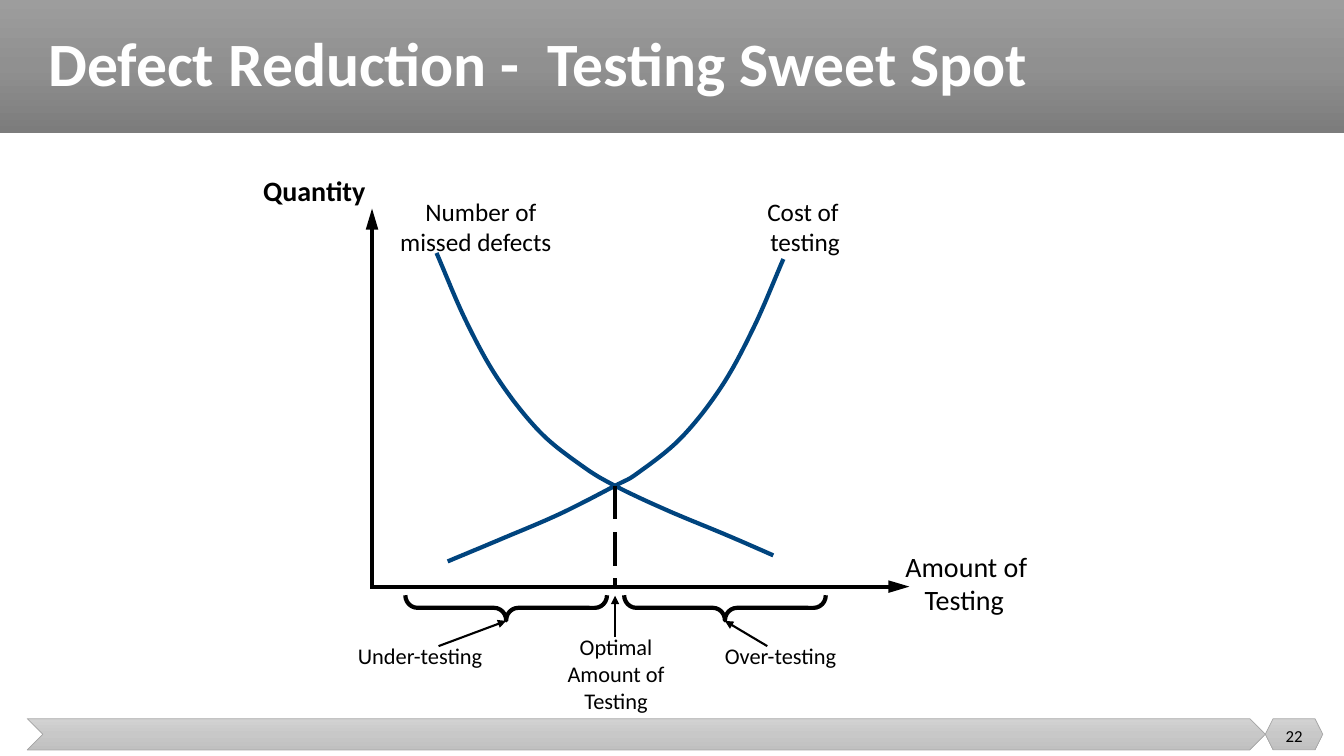
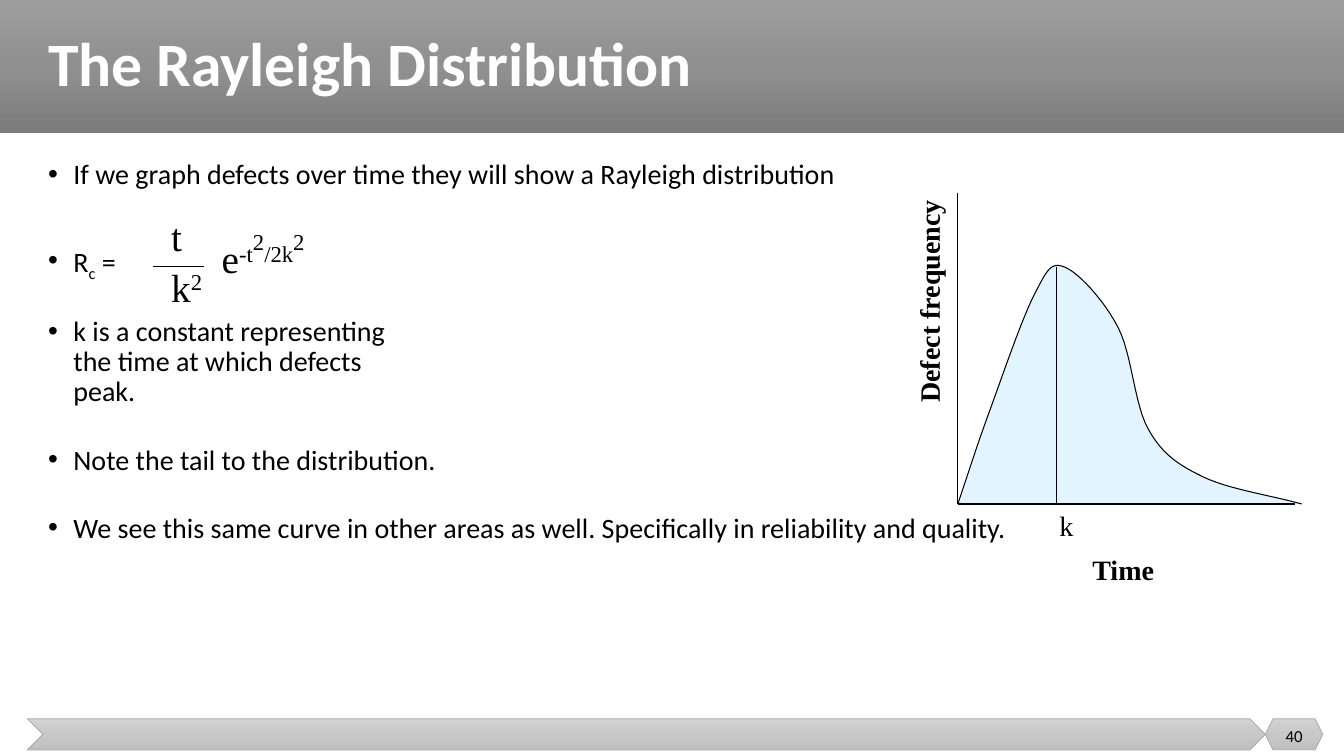
from dataclasses import dataclass
from typing import Optional, Sequence, Union
import copy

import pptx
import pptx.dml.color
import pptx.enum.dml
import pptx.enum.shapes
import pptx.enum.text
import pptx.oxml
import pptx.oxml.ns
import pptx.util

Inches = pptx.util.Inches
Pt = pptx.util.Pt
RGB = pptx.dml.color.RGBColor.from_string
SHAPE = pptx.enum.shapes.MSO_SHAPE
ALIGN = pptx.enum.text.PP_ALIGN
ANCHOR = pptx.enum.text.MSO_ANCHOR
qn = pptx.oxml.ns.qn
Point = tuple[float, float]
Box = tuple[float, float, float, float]


@dataclass(frozen=True)
class Theme:
    sans: str = "Calibri"
    serif: str = "Times New Roman"
    ink: str = "000000"
    white: str = "FFFFFF"
    curve: str = "00447E"
    area: str = "E1F4FF"
    edge: str = "A5A5A5"
    band: tuple[str, ...] = ("9D9D9D", "909090", "7C7C7C")
    footer: tuple[str, ...] = ("D2D2D2", "C8C8C8", "C0C0C0")
    title: int = 44
    formula: int = 28
    body: int = 20
    label: int = 18
    note: int = 16
    page: int = 12
    hairline: float = 0.75
    thin: float = 1.5
    thick: float = 3


T = Theme()


@dataclass(frozen=True)
class Run:
    text: str
    baseline: int = 0  # percent above or below the line


@dataclass(frozen=True)
class Band:
    kind: SHAPE
    at: Box
    colors: tuple[str, ...]
    outlined: bool = True


@dataclass(frozen=True)
class Label:
    at: Box
    text: str
    size: int
    bold: bool = False
    align: Optional[ALIGN] = None
    left: float = 0
    first: float = 0


@dataclass(frozen=True)
class Bullet:
    runs: Sequence[Run]
    before: float = 27


@dataclass(frozen=True)
class Stroke:
    start: Point
    end: Point
    width: float
    arrow: str = ""  # arrowhead length
    dashed: bool = False


BANDS = (
    Band(SHAPE.RECTANGLE, (0, 0, 13.33, 1.32), T.band, outlined=False),
    Band(SHAPE.CHEVRON, (0.27, 7.13, 12.28, 0.31), T.footer),
    Band(SHAPE.HEXAGON, (12.55, 7.13, 0.57, 0.31), T.footer),
)


# Text
def add_runs(p, text: Union[str, Sequence[Run]], *, size: float,
             font: str = T.sans, color: str = T.ink, bold: bool = False,
             align: Optional[ALIGN] = None, before: float = 0,
             spacing: Optional[float] = None) -> None:
    """Write text into a paragraph; a newline becomes a line break."""
    p.alignment, p.line_spacing, p.space_before = align, spacing, Pt(before)
    for run in [Run(text)] if isinstance(text, str) else text:
        for i, line in enumerate(run.text.split("\n")):
            if i:
                p.add_line_break()
            r = p.add_run()
            r.text = line
            r.font.name, r.font.size, r.font.bold = font, Pt(size), bold
            r.font.color.rgb = RGB(color)
            if run.baseline:
                r._r.get_or_add_rPr().set("baseline", str(run.baseline * 1000))


def set_indent(p, left: float, first: float) -> None:
    pPr = p._p.get_or_add_pPr()
    pPr.set("marL", str(Inches(left)))
    pPr.set("indent", str(Inches(first)))


def add_box(s, at: Box, *, inset: bool = True, middle: bool = False):
    box = s.shapes.add_textbox(*map(Inches, at))
    tf = box.text_frame
    tf.word_wrap = True
    tf.vertical_anchor = ANCHOR.MIDDLE if middle else ANCHOR.TOP
    if not inset:
        tf.margin_left = tf.margin_right = tf.margin_bottom = 0
        tf.margin_top = Inches(0.01)
    return box


def add_text(s, at: Box, text: Union[str, Sequence[Run]], *,
             middle: bool = False, **fmt):
    box = add_box(s, at, middle=middle)
    add_runs(box.text_frame.paragraphs[0], text, **fmt)
    return box


def add_label(s, label: Label) -> None:
    p = add_box(s, label.at, inset=False).text_frame.paragraphs[0]
    set_indent(p, label.left, label.first)
    add_runs(p, label.text, size=label.size, bold=label.bold, align=label.align)


def add_bullets(s, at: Box, bullets: Sequence[Bullet]) -> None:
    tf = add_box(s, at).text_frame
    for i, bullet in enumerate(bullets):
        p = tf.add_paragraph() if i else tf.paragraphs[0]
        set_indent(p, 0.25, -0.25)
        add_runs(p, bullet.runs, size=T.body, before=bullet.before, spacing=0.9)
        mark = p._p.get_or_add_pPr()
        mark.append(pptx.oxml.parse_xml(
            f'<a:buFont {pptx.oxml.ns.nsdecls("a")} typeface="Arial"/>'))
        mark.append(pptx.oxml.parse_xml(
            f'<a:buChar {pptx.oxml.ns.nsdecls("a")} char="•"/>'))


# Lines and outlines
def set_line(line, color: str, width: float) -> None:
    line.color.rgb = RGB(color)
    line.width = Pt(width)


def add_stroke(s, stroke: Stroke) -> None:
    c = s.shapes.add_connector(
        pptx.enum.shapes.MSO_CONNECTOR.STRAIGHT,
        *map(Inches, stroke.start + stroke.end))
    set_line(c.line, T.ink, stroke.width)
    if stroke.dashed:
        c.line.dash_style = pptx.enum.dml.MSO_LINE.LONG_DASH
    if stroke.arrow:
        c.line._get_or_add_ln().append(pptx.oxml.parse_xml(
            f'<a:tailEnd {pptx.oxml.ns.nsdecls("a")} type="triangle" '
            f'w="med" len="{stroke.arrow}"/>'))
    c.element.spPr.append(pptx.oxml.parse_xml(
        f'<a:effectLst {pptx.oxml.ns.nsdecls("a")}/>'))


def smooth(knots: Sequence[Point], steps: int = 12) -> list[Point]:
    """Sample a Catmull-Rom spline that passes through the knots."""
    def mirror(a: Point, b: Point) -> Point:
        return 2 * a[0] - b[0], 2 * a[1] - b[1]

    pts = [mirror(knots[0], knots[1]), *knots, mirror(knots[-1], knots[-2])]
    curve = [knots[0]]
    for quad in zip(pts, pts[1:], pts[2:], pts[3:]):
        for t in (n / steps for n in range(1, steps + 1)):
            x, y = (
                (2 * b + (c - a) * t + (2 * a - 5 * b + 4 * c - d) * t ** 2
                 + (3 * b - a - 3 * c + d) * t ** 3) / 2
                for a, b, c, d in zip(*quad))
            curve.append((x, y))
    return curve


def add_curve(s, knots: Sequence[Point], color: str, width: float,
              fill: Optional[str] = None) -> None:
    pts = [(Inches(x), Inches(y)) for x, y in smooth(knots)]
    builder = s.shapes.build_freeform(*pts[0])
    builder.add_line_segments(pts[1:], close=False)
    sp = builder.convert_to_shape()
    sp.shadow.inherit = False
    set_line(sp.line, color, width)
    if fill:
        sp.fill.solid()
        sp.fill.fore_color.rgb = RGB(fill)
    else:
        sp.fill.background()


def add_brace(s, center: float) -> None:
    width, height, middle = 2, 0.25, 6.03
    sp = s.shapes.add_shape(
        SHAPE.RIGHT_BRACE, Inches(center - height / 2),
        Inches(middle - width / 2), Inches(height), Inches(width))
    sp.rotation = 90
    sp.adjustments[0] = 0.48
    sp.shadow.inherit = False
    sp.fill.background()
    set_line(sp.line, T.ink, T.thick)


# Shared frame
def add_band(s, band: Band):
    sp = s.shapes.add_shape(band.kind, *map(Inches, band.at))
    sp.shadow.inherit = False
    sp.fill.gradient()
    sp.fill.gradient_angle = 270
    stops = sp.element.spPr.find(".//" + qn("a:gsLst"))
    middle = copy.deepcopy(stops[0])
    middle.set("pos", "50000")
    stops.insert(1, middle)
    for stop, color in zip(sp.fill.gradient_stops, band.colors):
        stop.color.rgb = RGB(color)
    if band.outlined:
        set_line(sp.line, T.edge, 0.5)
    else:
        sp.line.fill.background()
    return sp


def move_bands_to_layout(s) -> None:
    """Draw the bands once and let the layout hold them."""
    tree = s.slide_layout.shapes.element
    for i, band in enumerate(BANDS):
        element = add_band(s, band).element
        element.nvSpPr.cNvPr.set("id", str(100 + i))
        tree.insert(2 + i, element)


def add_slide(prs, title: str, page: int):
    s = prs.slides.add_slide(prs.slide_layouts[5])
    sp = s.shapes.title
    sp.left, sp.top, sp.width, sp.height = map(Inches, (0.38, 0, 12.74, 1.32))
    tf = sp.text_frame
    tf.word_wrap, tf.vertical_anchor = True, ANCHOR.MIDDLE
    tf.auto_size = pptx.enum.text.MSO_AUTO_SIZE.NONE
    add_runs(tf.paragraphs[0], title, size=T.title, color=T.white, bold=True,
             align=ALIGN.LEFT, spacing=0.9)
    add_text(s, (12.55, 7.1, 0.57, 0.4), str(page), size=T.page,
             align=ALIGN.CENTER, middle=True)
    return s


# Slides
def sweet_spot(s) -> None:
    optimum = (6.1, 4.82)
    missed = ((4.33, 2.51), (4.62, 3.18), (4.94, 3.76), (5.35, 4.28),
              (5.77, 4.62), optimum, (6.61, 5.06), (7.21, 5.31), (7.67, 5.51))
    cost = ((7.77, 2.57), (7.48, 3.24), (7.16, 3.83), (6.76, 4.34),
            (6.33, 4.69), optimum, (5.55, 5.1), (4.99, 5.34), (4.44, 5.57))
    for knots in (missed, cost):
        add_curve(s, knots, T.curve, T.thick)
    for label in (
        Label((2.6, 1.71, 1.06, 0.36), "Quantity", T.body, bold=True, left=0.01),
        Label((8.97, 5.44, 1.29, 0.7), "Amount of\nTesting", T.body,
              left=0.2, first=-0.19),
        Label((7.6, 1.94, 0.82, 0.63), "Cost of\ntesting", T.label,
              left=0.04, first=-0.03),
        Label((3.96, 1.94, 1.69, 0.63), "Number of\nmissed defects", T.label,
              left=0.01, first=0.25),
        Label((5.59, 6.27, 1.04, 0.83), "Optimal\nAmount of\nTesting", T.note,
              align=ALIGN.CENTER),
        Label((7.18, 6.36, 1.24, 0.28), "Over-testing", T.note, left=0.01),
        Label((3.54, 6.36, 1.36, 0.28), "Under-testing", T.note, left=0.01),
    ):
        add_label(s, label)
    for center in (5.02, 7.19):
        add_brace(s, center)
    for stroke in (
        Stroke((3.69, 5.84), (3.69, 2.07), T.thick, arrow="lg"),
        Stroke((3.69, 5.82), (9.02, 5.82), T.thick, arrow="lg"),
        Stroke(optimum, (6.1, 5.82), T.thick, dashed=True),
        Stroke((4.35, 6.41), (5.02, 6.16), T.thin, arrow="med"),
        Stroke((6.1, 6.32), (6.1, 5.91), T.thin, arrow="med"),
        Stroke((7.61, 6.41), (7.19, 6.16), T.thin, arrow="med"),
    ):
        add_stroke(s, stroke)


def rayleigh(s) -> None:
    add_bullets(s, (0.38, 1.54, 12.74, 5.19), (
        Bullet([Run("If we graph defects over time they will show a "
                    "Rayleigh distribution")], before=0),
        Bullet([Run("R"), Run("c", -25), Run(" =")], before=39),
        Bullet([Run("k is a constant representing\n"
                    "the time at which defects\npeak.")]),
        Bullet([Run("Note the tail to the distribution.")]),
        Bullet([Run("We see this same curve in other areas as well. "
                    "Specifically in reliability and quality.")]),
    ))
    # Formula
    for at, runs in (
        ((2.1, 2.21, 2.58, 0.57), [Run("e"), Run("-t", 30), Run("2", 60),
                                   Run("/2k", 30), Run("2", 60)]),
        ((1.6, 2.06, 0.67, 0.57), [Run("t")]),
        ((1.6, 2.56, 0.67, 0.57), [Run("k"), Run("2", 30)]),
    ):
        add_text(s, at, runs, size=T.formula, font=T.serif)
    # Distribution
    add_curve(s, ((9.5, 5), (9.8, 4.12), (10.26, 2.92), (10.56, 2.65),
                  (11.09, 3.25), (11.39, 4.26), (11.93, 4.73), (12.91, 5)),
              T.ink, T.hairline, fill=T.area)
    for start, end in (
        ((1.52, 2.64), (2.02, 2.64)),
        ((9.5, 1.91), (9.5, 5)),
        ((9.5, 5), (12.84, 5)),
        ((10.48, 2.65), (10.48, 5)),
    ):
        add_stroke(s, Stroke(start, end, T.hairline))
    axis = dict(size=T.body, font=T.serif, bold=True, align=ALIGN.CENTER)
    add_text(s, (7.34, 2.77, 3.75, 0.44), "Defect frequency", **axis).rotation = 270
    add_text(s, (9.43, 5.43, 3.42, 0.44), "Time", **axis)
    add_text(s, (10.41, 5, 0.53, 0.43), "k", size=T.body, font=T.serif)


def main() -> None:
    prs = pptx.Presentation()
    prs.slide_width, prs.slide_height = Inches(13.33), Inches(7.5)
    s = add_slide(prs, "Defect Reduction -  Testing Sweet Spot", 22)
    move_bands_to_layout(s)
    sweet_spot(s)
    rayleigh(add_slide(prs, "The Rayleigh Distribution", 40))
    prs.save("out.pptx")


if __name__ == "__main__":
    main()
